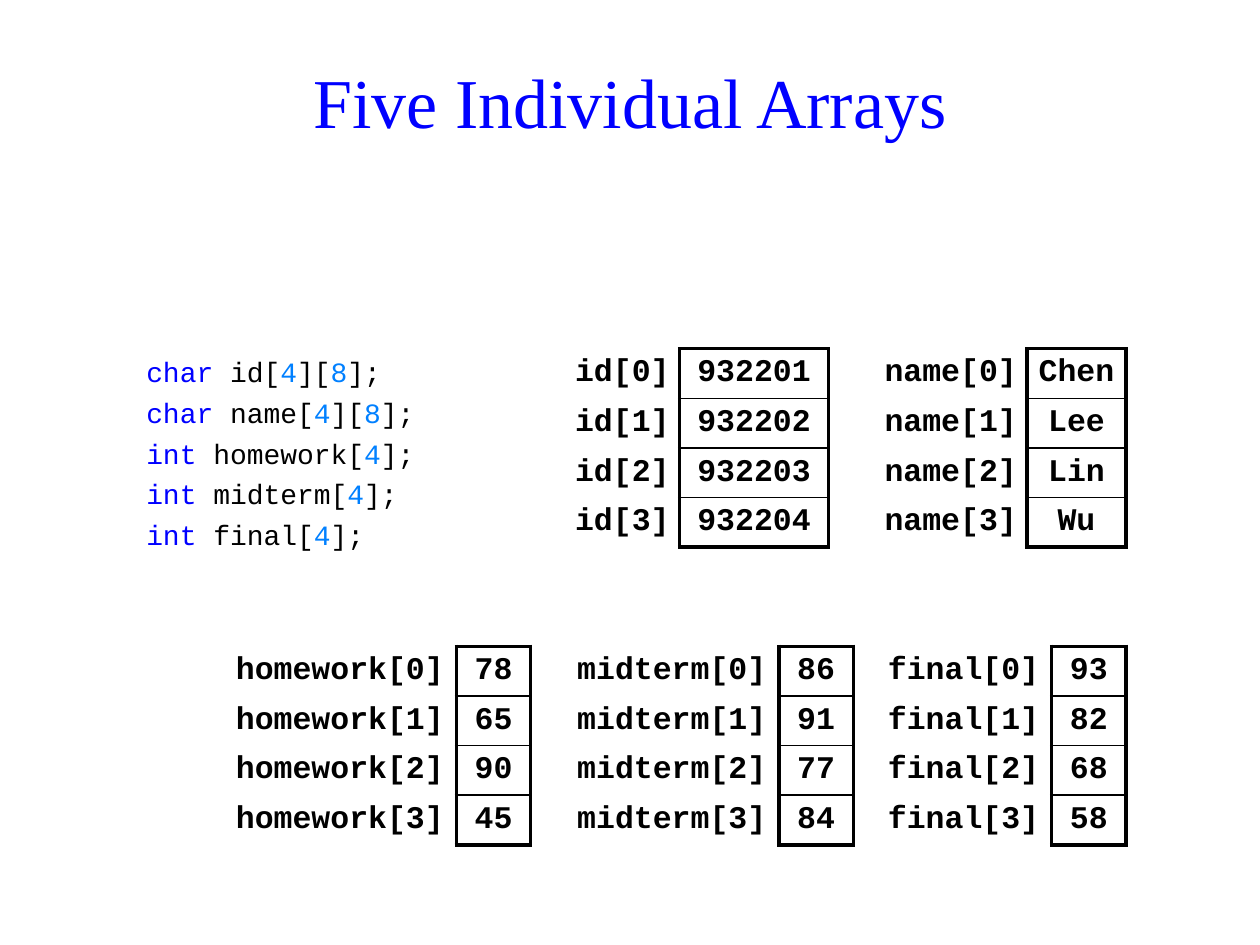
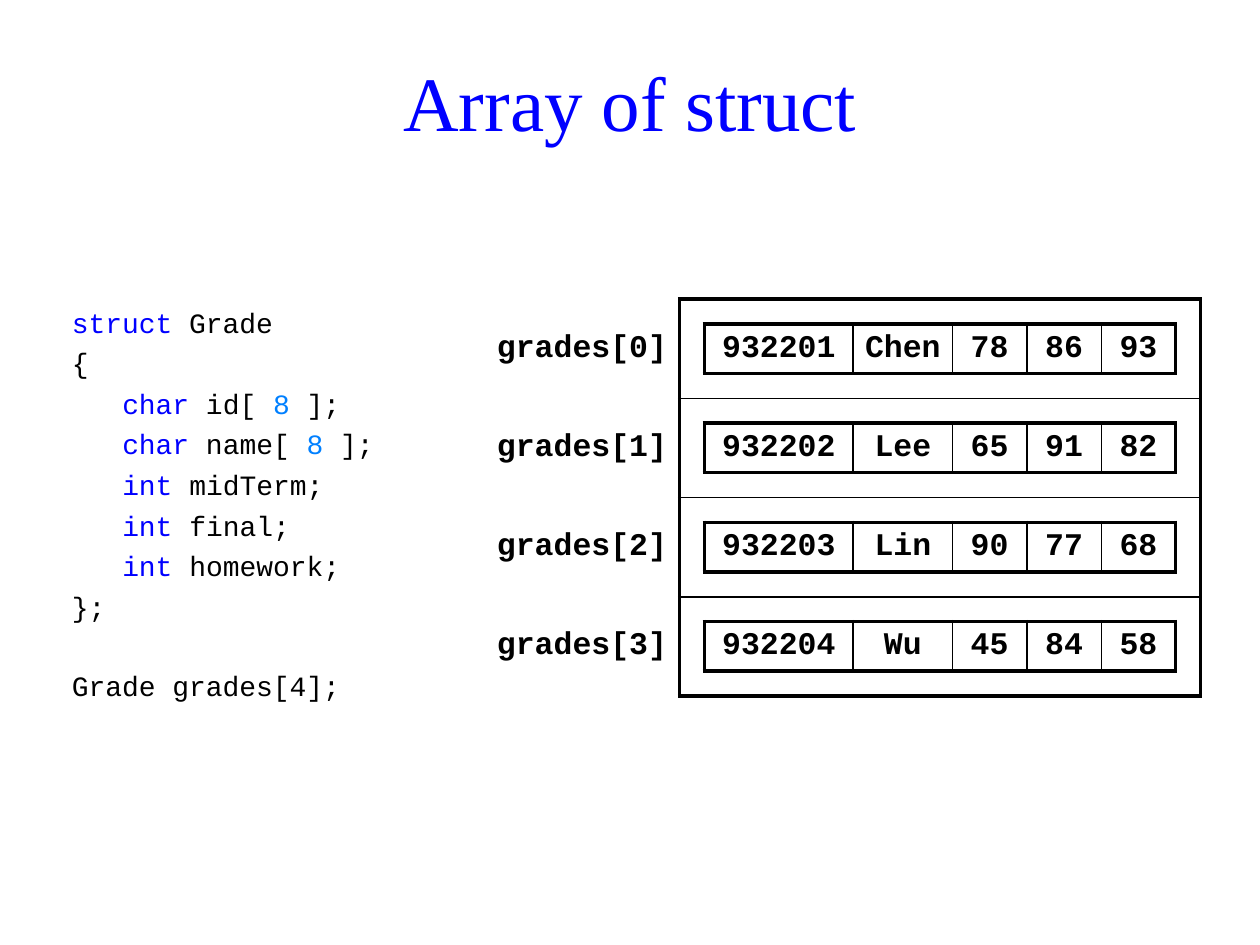
import itertools

import lxml.etree
import pptx
import pptx.dml.color
import pptx.enum.text
import pptx.oxml.ns
import pptx.util

BLUE, AZURE, BLACK = "0000FF", "0080FF", "000000"
SERIF, MONO = "Times New Roman", "Courier New"
HEAVY, THIN = 2.25, 1
KEYWORDS = ("struct", "char", "int")
PLAIN_TABLE = "{2D5ABB26-0587-4C30-8999-92F81FD0307C}"
ALIGN = pptx.enum.text.PP_ALIGN
MIDDLE = pptx.enum.text.MSO_ANCHOR.MIDDLE

FIELDS = ("id", "name", "homework", "midterm", "final")
RECORDS = (
    ("932201", "Chen", "78", "86", "93"),
    ("932202", "Lee", "65", "91", "82"),
    ("932203", "Lin", "90", "77", "68"),
    ("932204", "Wu", "45", "84", "58"),
)

ARRAY_CODE = """\
char id[4][8];
char name[4][8];
int homework[4];
int midterm[4];
int final[4];"""

STRUCT_CODE = """\
struct Grade
{
   char id[ 8 ];
   char name[ 8 ];
   int midTerm;
   int final;
   int homework;
};

Grade grades[4];"""


def colour(value):
    return pptx.dml.color.RGBColor.from_string(value)


def grid(units):
    """One grid column or row is a centimetre."""
    return pptx.util.Cm(units)


class Lecture:
    def __init__(self):
        self.deck = pptx.Presentation()
        self.deck.slide_width = pptx.util.Inches(10)
        self.deck.slide_height = pptx.util.Inches(7.5)
        self.page = None

    def new_page(self, title, size):
        self.page = self.deck.slides.add_slide(self.deck.slide_layouts[5])
        box = self.page.shapes.title
        box.left, box.top, box.width, box.height = map(grid, (0.7, 0.53, 24, 3))
        box.text_frame.vertical_anchor = MIDDLE
        para = box.text_frame.paragraphs[0]
        para.alignment = ALIGN.CENTER
        self.span(para, title, size, BLUE, SERIF)

    def span(self, para, text, size, ink=BLACK, font=MONO, bold=False):
        run = para.add_run()
        run.text = text
        run.font.name, run.font.size = font, pptx.util.Pt(size)
        run.font.bold = bold
        run.font.color.rgb = colour(ink)

    def code(self, at, source, size=16, before=4, line=22):
        """Listing with coloured keywords, and digits in declarations."""
        box = self.page.shapes.add_textbox(*map(grid, at))
        frame = box.text_frame
        frame.word_wrap = True
        para, gap = frame.paragraphs[0], before
        for number, text in enumerate(source.splitlines()):
            if not text:
                gap += line
                continue
            if number:
                para = frame.add_paragraph()
            para.space_before = pptx.util.Pt(gap)
            gap = before
            body = text.lstrip()
            indent = (len(text) - len(body)) * 0.6 * size
            para._p.get_or_add_pPr().set("marL", str(pptx.util.Pt(indent)))
            word = body.split()[0]
            if word not in KEYWORDS:
                self.span(para, body, size)
                continue
            self.span(para, word, size, BLUE)
            for digits, letters in itertools.groupby(body[len(word):], str.isdigit):
                self.span(para, "".join(letters), size, AZURE if digits else BLACK)

    def border(self, cell, **sides):
        properties = cell._tc.get_or_add_tcPr()
        for position, (side, width) in enumerate(sides.items()):
            edge = lxml.etree.Element(pptx.oxml.ns.qn("a:ln" + side),
                                      w=str(pptx.util.Pt(width)))
            fill = lxml.etree.SubElement(edge, pptx.oxml.ns.qn("a:solidFill"))
            lxml.etree.SubElement(fill, pptx.oxml.ns.qn("a:srgbClr"), val=BLACK)
            properties.insert(position, edge)

    def table(self, left, top, widths, rows, frames, height=1, inset=0.1):
        """Framed column spans hold values; the other columns hold labels."""
        shape = self.page.shapes.add_table(
            len(rows), len(widths), grid(left), grid(top),
            grid(sum(widths)), grid(height * len(rows)))
        table = shape.table
        table.first_row = table.horz_banding = False
        table._tbl.tblPr.find(pptx.oxml.ns.qn("a:tableStyleId")).text = PLAIN_TABLE
        for column, width in zip(table.columns, widths):
            column.width = grid(width)
        for r, row in enumerate(rows):
            table.rows[r].height = grid(height)
            for c, text in enumerate(row):
                cell = table.cell(r, c)
                cell.fill.background()
                cell.vertical_anchor = MIDDLE
                cell.margin_left = cell.margin_right = pptx.util.Inches(inset)
                cell.margin_top = cell.margin_bottom = pptx.util.Inches(0.04)
                para = cell.text_frame.paragraphs[0]
                para.alignment = ALIGN.RIGHT
                if text:
                    self.span(para, text, 18, bold=True)
                for first, last in frames:
                    if first <= c <= last:
                        para.alignment = ALIGN.CENTER
                        self.border(cell,
                                    L=HEAVY if c == first else THIN,
                                    R=HEAVY if c == last else THIN,
                                    T=HEAVY if r == 0 else THIN,
                                    B=HEAVY if r == len(rows) - 1 else THIN)

    def arrays(self, left, top, fields, widths, inset):
        """Arrays side by side, each a label column and a value column."""
        rows = []
        for index, record in enumerate(RECORDS):
            values = dict(zip(FIELDS, record))
            rows.append([text for field in fields
                         for text in (f"{field}[{index}]", values[field])])
        frames = [(c, c) for c in range(1, len(widths), 2)]
        self.table(left, top, widths, rows, frames, inset=inset)


def main():
    lecture = Lecture()

    # Separate arrays
    lecture.new_page("Five Individual Arrays", 40)
    lecture.code((2.7, 7.03, 6, 4), ARRAY_CODE)
    lecture.arrays(4.2, 13.03, FIELDS[2:], (5, 1.5, 5, 1.5, 4, 1.5), 0.1)
    lecture.arrays(11.2, 7.03, FIELDS[:2], (2.5, 3, 4, 2), 0.08)

    # One array of records
    lecture.new_page("Array of struct", 44)
    top, height = 6.03, 2
    lecture.code((1.2, top, 7, 8), STRUCT_CODE)
    slots = [(f"grades[{index}]", "") for index in range(len(RECORDS))]
    lecture.table(9.7, top, (4, 10.5), slots, [(1, 1)], height)
    for index, record in enumerate(RECORDS):
        lecture.table(14.2, top + 0.5 + index * height, (3, 2, 1.5, 1.5, 1.5),
                      [record], [(0, 4)], inset=0.08)

    lecture.deck.save("out.pptx")


if __name__ == "__main__":
    main()
